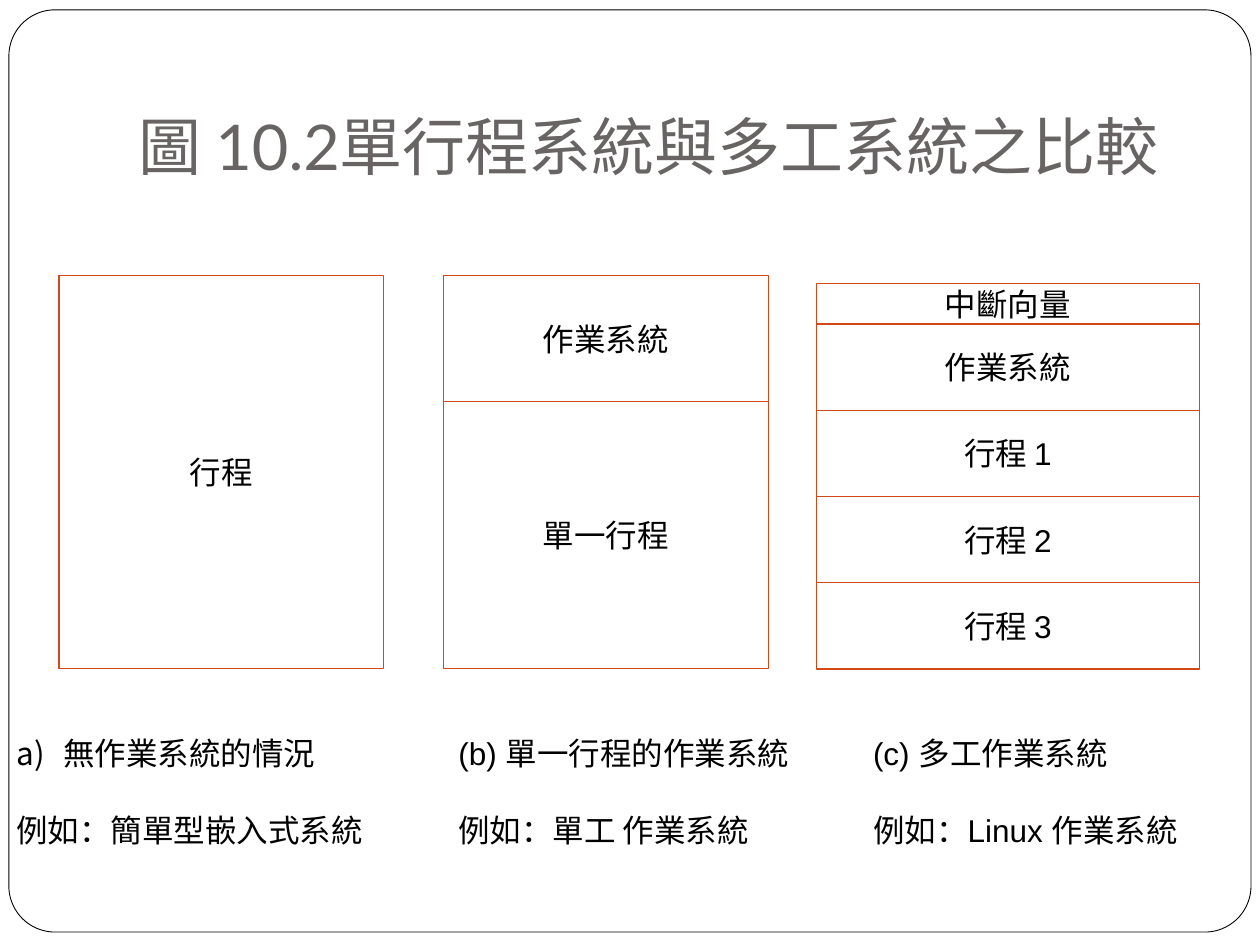
import pptx
import pptx.util
import pptx.dml.color
import pptx.enum.shapes
import pptx.enum.text
import lxml.etree

Cm, Pt = pptx.util.Cm, pptx.util.Pt
RGB = pptx.dml.color.RGBColor.from_string
SHAPE = pptx.enum.shapes.MSO_SHAPE
ANCHOR = pptx.enum.text.MSO_ANCHOR
ALIGN = pptx.enum.text.PP_ALIGN
FIT = pptx.enum.text.MSO_AUTO_SIZE

THEME = {
    "frame_fill": RGB("FFFFFF"),
    "frame_line": RGB("000000"),
    "box_line": RGB("D34817"),
    "title": {"name": "Lato", "size": Pt(36), "color": RGB("696464")},
    "body": {"name": "Arial", "size": Pt(18), "color": RGB("000000")},
}


def add_text(p, text, style):
    r = p.add_run()
    r.text = text
    for key, value in THEME[style].items():
        if key == "color":
            r.font.color.rgb = value
        else:
            setattr(r.font, key, value)


def set_frame(tf, **values):
    for key, value in values.items():
        setattr(tf, key, value)


prs = pptx.Presentation()
prs.slide_width, prs.slide_height = Cm(25.4), Cm(19.05)
s = prs.slides.add_slide(prs.slide_layouts[6])

# Rounded page frame
sp = s.shapes.add_shape(SHAPE.ROUNDED_RECTANGLE, Cm(0.18), Cm(0.2), Cm(25.04), Cm(18.59))
sp.adjustments[0] = 0.05
sp.shadow.inherit = False
sp.fill.solid()
sp.fill.fore_color.rgb = THEME["frame_fill"]
sp.line.color.rgb = THEME["frame_line"]
sp.line.width = Pt(0.5)

# Title
tf = s.shapes.add_textbox(Cm(2.54), Cm(0.76), Cm(21.59), Cm(3.18)).text_frame
set_frame(tf, word_wrap=True, vertical_anchor=ANCHOR.BOTTOM, margin_bottom=Cm(0.25))
add_text(tf.paragraphs[0], "圖 10.2單行程系統與多工系統之比較", "title")

# Memory layouts: left, top, width, then stacked (label, height) rows
layouts = [
    (1.19, 5.56, 6.55, [("行程", 7.92)]),
    (8.94, 5.56, 6.55, [("作業系統", 2.54), ("單一行程", 5.38)]),
    (16.46, 5.72, 7.72, [("中斷向量", 0.81), ("作業系統", 1.74)]
     + [(f"行程 {n}", 1.74) for n in (1, 2, 3)]),
]
for left, top, width, rows in layouts:
    for label, height in rows:
        sp = s.shapes.add_shape(SHAPE.RECTANGLE, Cm(left), Cm(top), Cm(width), Cm(height))
        sp.shadow.inherit = False
        sp.fill.background()
        sp.line.color.rgb = THEME["box_line"]
        sp.line.width = Pt(0.75)
        set_frame(sp.text_frame, word_wrap=False, vertical_anchor=ANCHOR.MIDDLE)
        p = sp.text_frame.paragraphs[0]
        p.alignment = ALIGN.CENTER
        add_text(p, label, "body")
        top += height

# Captions: left, width, numbered by list, lines
captions = [
    (0.08, 9.4, True, ["無作業系統的情況", "例如：簡單型嵌入式系統"]),
    (8.99, 7.32, False, ["(b) 單一行程的作業系統", "例如：單工 作業系統"]),
    (17.35, 6.93, False, ["(c) 多工作業系統", "例如：Linux 作業系統"]),
]
for left, width, numbered, lines in captions:
    tf = s.shapes.add_textbox(Cm(left), Cm(14.68), Cm(width), Cm(2.54)).text_frame
    set_frame(tf, word_wrap=False, auto_size=FIT.SHAPE_TO_FIT_TEXT)
    for i, line in enumerate(lines):
        p = tf.add_paragraph() if i else tf.paragraphs[0]
        if i:
            p.space_before = Pt(22)
        if numbered:
            pPr = p._p.get_or_add_pPr()
            pPr.set("marL", str(Cm(0.95)))
            pPr.set("indent", str(-Cm(0.95)))
            if i == 0:
                num = lxml.etree.SubElement(pPr, pptx.oxml.ns.qn("a:buAutoNum"))
                num.set("type", "alphaLcParenR")
        add_text(p, line, "body")

prs.save("out.pptx")
